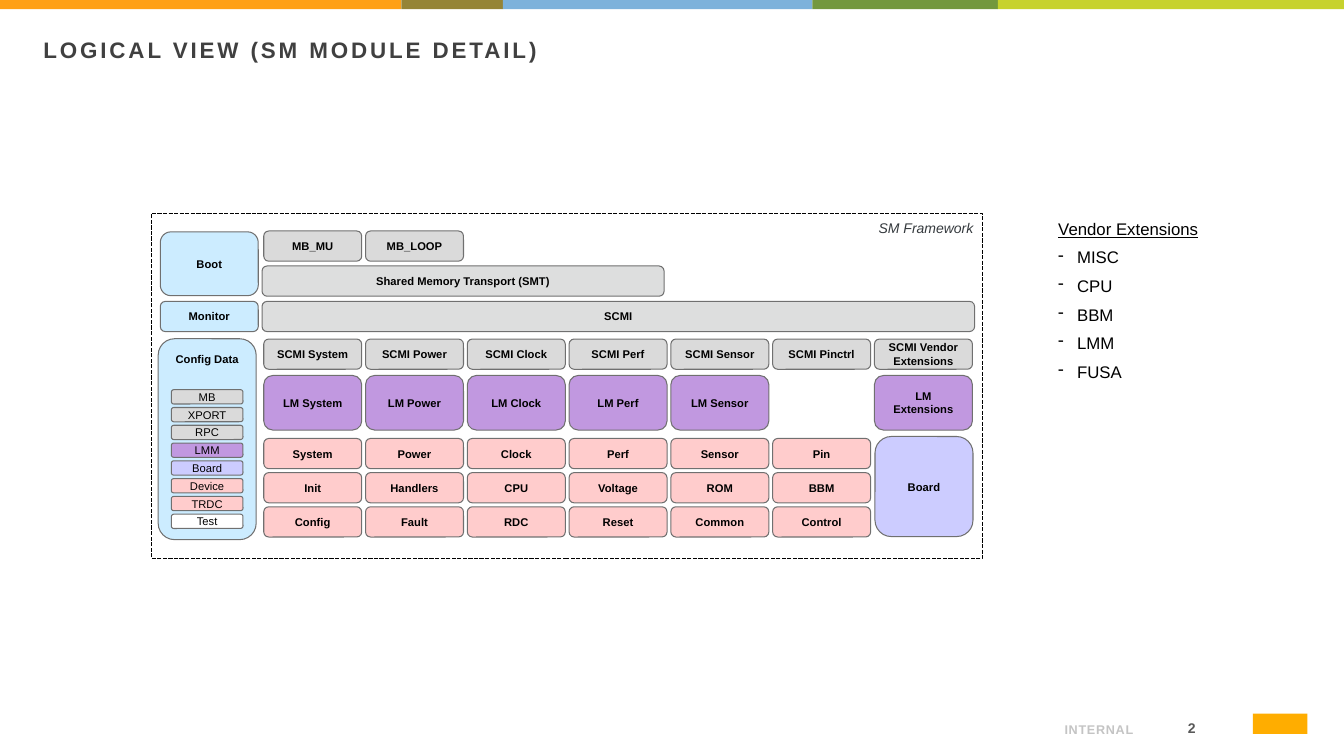
from dataclasses import dataclass
from typing import Any, NamedTuple

from lxml.etree import SubElement as Sub
from pptx import Presentation as Deck
from pptx.dml.color import RGBColor as Rgb
from pptx.enum.dml import MSO_LINE_DASH_STYLE as Dash
from pptx.enum.shapes import MSO_AUTO_SHAPE_TYPE as Kind
from pptx.enum.text import MSO_VERTICAL_ANCHOR as Anchor, PP_PARAGRAPH_ALIGNMENT as Align
from pptx.oxml.ns import qn
from pptx.util import Pt

INK = {
    "white": "FFFFFF", "black": "000000", "edge": "707070",
    "gray": "DADADA", "bar": "DDDEDE", "purple": "C198E0",
    "blue": "CCECFF", "lilac": "CCCCFF", "pink": "FFCCCC",
    "title": "404040", "label": "353A3E", "page": "595959", "faint": "C4C4C4",
    "orange": "FFA015", "brown": "958436", "sky": "7DB2DB",
    "green": "73983E", "lime": "C7D22D", "mark": "FFAD00",
}


class Area(NamedTuple):
    x: float
    y: float
    w: float
    h: float


@dataclass
class Box:
    text: str
    area: Area
    fill: str
    bold: bool = True
    top: float | None = None  # inset of text that hangs from the top edge


@dataclass
class Note:
    text: str
    area: Area
    size: float
    ink: str
    font: dict[str, Any]
    frame: dict[str, Any]
    align: Align = Align.LEFT
    track: int = 0  # letter spacing in hundredths of a point


def apply(item: Any, form: dict[str, Any]) -> None:
    for name, value in form.items():
        setattr(item, name, value)


def color(ink: str) -> Rgb:
    return Rgb.from_string(INK[ink])


def add_run(para: Any, text: str, size: float, ink: str, form: dict[str, Any]) -> Any:
    run = para.add_run()
    run.text = text
    apply(run.font, {"name": "Arial", "size": Pt(size)} | form)
    run.font.color.rgb = color(ink)
    return run


def add_plain(slide: Any, kind: Kind, area: Area, fill: str,
              edge: str | None = None, width: float = 0.75) -> Any:
    shape = slide.shapes.add_shape(kind, *map(Pt, area))
    shape.shadow.inherit = False
    shape.fill.solid()
    shape.fill.fore_color.rgb = color(fill)
    if edge:
        shape.line.color.rgb = color(edge)
        shape.line.width = Pt(width)
    else:
        shape.line.fill.background()
    return shape


def add_box(slide: Any, box: Box) -> None:
    shape = add_plain(slide, Kind.ROUNDED_RECTANGLE, box.area, box.fill, "edge")
    hung = box.top is not None
    frame = shape.text_frame
    apply(frame, {
        "word_wrap": True,
        "vertical_anchor": Anchor.TOP if hung else Anchor.MIDDLE,
        "margin_top": Pt(box.top if hung else 0),
        "margin_bottom": Pt(0),
    })
    para = frame.paragraphs[0]
    para.alignment = Align.CENTER
    add_run(para, box.text, 8, "black", {"bold": box.bold})


def add_note(slide: Any, note: Note) -> None:
    frame = slide.shapes.add_textbox(*map(Pt, note.area)).text_frame
    apply(frame, {"word_wrap": True} | note.frame)
    para = frame.paragraphs[0]
    para.alignment = note.align
    run = add_run(para, note.text, note.size, note.ink, note.font)
    if note.track:
        run.font._element.set("spc", str(note.track))


def add_list(slide: Any, area: Area, head: str, items: list[str]) -> None:
    """Underlined heading with dashed entries below it."""
    frame = slide.shapes.add_textbox(*map(Pt, area)).text_frame
    frame.word_wrap = True
    for row, text in enumerate([head, *items]):
        para = frame.add_paragraph() if row else frame.paragraphs[0]
        para.space_before = Pt(6)
        add_run(para, text, 12, "black", {"underline": row == 0})
        if row:
            props = para._p.get_or_add_pPr()
            props.set("marL", str(Pt(13.5)))
            props.set("indent", str(-Pt(13.5)))
            Sub(props, qn("a:buChar")).set("char", "-")


STRIPES = [("orange", 286.6), ("brown", 72.7), ("sky", 221), ("green", 132.5), ("lime", 247.2)]

LEFT, STEP, WIDE, LOW = 188.4, 72.7, 70, 21.6
ROWS = [
    (165, LOW, "gray", ["MB_MU", "MB_LOOP"]),
    (242.2, LOW, "gray", ["SCMI System", "SCMI Power", "SCMI Clock", "SCMI Perf",
                          "SCMI Sensor", "SCMI Pinctrl", "SCMI Vendor Extensions"]),
    (268.2, 39, "purple", ["LM System", "LM Power", "LM Clock", "LM Perf",
                           "LM Sensor", "", "LM Extensions"]),
    (313.2, LOW, "pink", ["System", "Power", "Clock", "Perf", "Sensor", "Pin"]),
    (337.6, LOW, "pink", ["Init", "Handlers", "CPU", "Voltage", "ROM", "BBM"]),
    (362, LOW, "pink", ["Config", "Fault", "RDC", "Reset", "Common", "Control"]),
]
CONFIG = [("MB", "gray"), ("XPORT", "gray"), ("RPC", "gray"), ("LMM", "purple"),
          ("Board", "lilac"), ("Device", "pink"), ("TRDC", "pink"), ("Test", "white")]

BOXES = [
    Box("Boot", Area(114.5, 165.6, WIDE, 45.6), "blue"),
    Box("Monitor", Area(114.5, 215.3, WIDE, LOW), "blue"),
    Box("Config Data", Area(113, 242, WIDE, 143.5), "blue", top=6.5),
    Box("Shared Memory Transport (SMT)", Area(187.2, 190, 287.2, LOW), "bar"),
    Box("SCMI", Area(187.2, 215.3, 509, LOW), "bar"),
    Box("Board", Area(625, 311.8, WIDE, 71.5), "lilac"),
    *(Box(text, Area(LEFT + col * STEP, y, WIDE, h), fill)
      for y, h, fill, names in ROWS for col, text in enumerate(names) if text),
    *(Box(text, Area(122.4, 278.4 + row * 12.7, 51.2, 10.2), fill, bold=False)
      for row, (text, fill) in enumerate(CONFIG)),
]

NOTES = [
    Note("LOGICAL VIEW (SM MODULE DETAIL)", Area(23.8, 22.3, 918, 51.8), 16, "title",
         {"bold": True}, {}, track=210),
    Note("SM Framework", Area(620.6, 153.4, 83.5, 20.9), 10, "label",
         {"italic": True}, {"word_wrap": False}),
    Note("INTERNAL", Area(612.7, 505.4, 203.8, 24.5), 9, "faint",
         {"bold": True}, {"vertical_anchor": Anchor.BOTTOM}, Align.RIGHT, 50),
    Note("2", Area(812.2, 509, 46.8, 21.6), 10, "page", {"bold": True},
         {"vertical_anchor": Anchor.MIDDLE, "margin_left": Pt(5), "margin_right": Pt(5),
          "margin_top": Pt(3), "margin_bottom": Pt(3)}, Align.RIGHT, 300),
]


def main() -> None:
    deck = Deck()
    apply(deck, {"slide_width": Pt(960), "slide_height": Pt(540)})
    slide = deck.slides.add_slide(deck.slide_layouts[6])
    x = 0.0
    for fill, w in STRIPES:
        add_plain(slide, Kind.RECTANGLE, Area(x, 0, w, 6.5), fill)
        x += w
    add_plain(slide, Kind.RECTANGLE, Area(895, 509.8, 38.9, 14.4), "mark")
    frame = add_plain(slide, Kind.RECTANGLE, Area(108, 152.6, 594, 246.2),
                      "white", "black", 1)
    frame.line.dash_style = Dash.SQUARE_DOT
    for box in BOXES:
        add_box(slide, box)
    for note in NOTES:
        add_note(slide, note)
    add_list(slide, Area(748.8, 152.6, 116.6, 231), "Vendor Extensions",
             ["MISC", "CPU", "BBM", "LMM", "FUSA"])
    deck.save("out.pptx")


if __name__ == "__main__":
    main()
